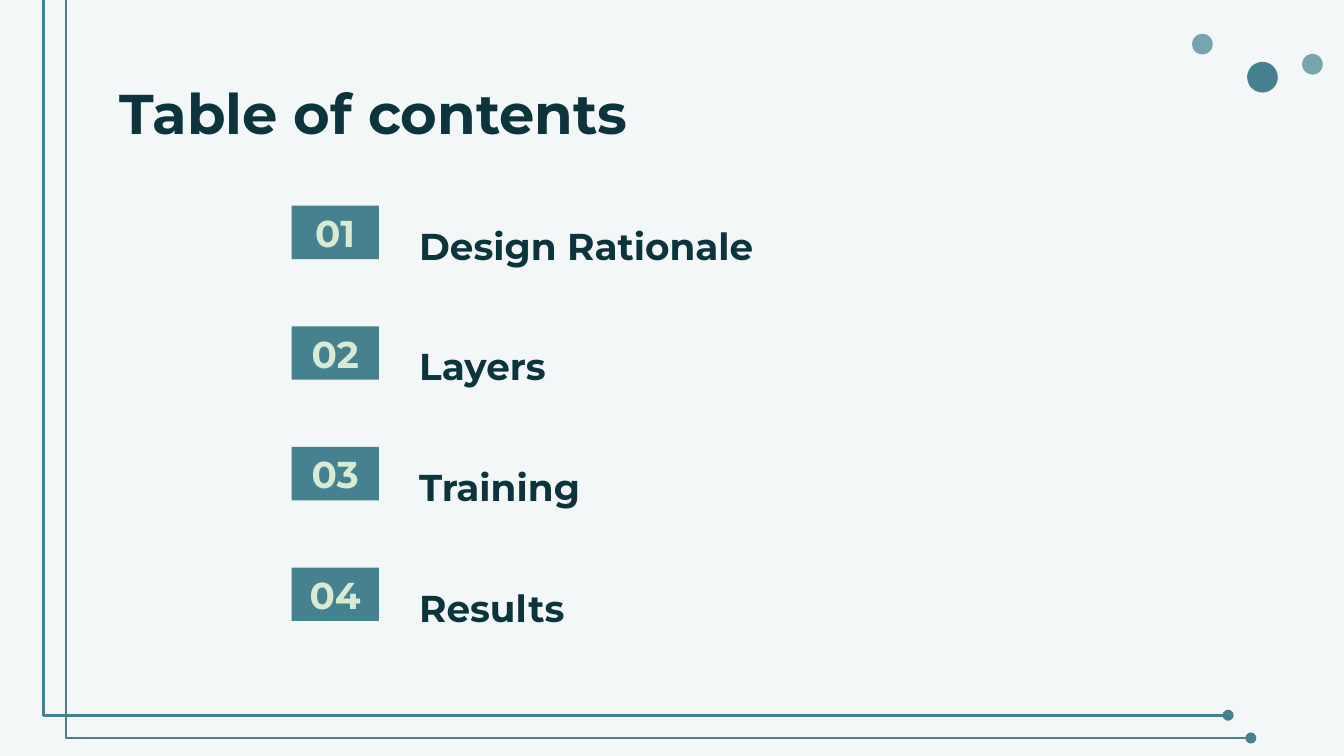
from lxml.etree import SubElement
from pptx import Presentation
from pptx.dml.color import RGBColor
from pptx.enum.shapes import MSO_CONNECTOR, MSO_SHAPE
from pptx.enum.text import MSO_ANCHOR, MSO_AUTO_SIZE, PP_ALIGN
from pptx.oxml.ns import qn
from pptx.util import Cm, Pt

COLORS = {
    "background": "F3F7F8",
    "teal": "45818E",
    "light_teal": "76A5AF",
    "dark": "0C343D",
    "pale": "D9EAD3",
}
TOPICS = ["Design Rationale", "Layers", "Training", "Results"]
DOTS = [
    (23.57, 1.17, 0.58, "teal"),
    (22.53, 0.64, 0.39, "light_teal"),
    (24.61, 1.02, 0.39, "light_teal"),
]
ROW_PITCH = 2.28


def rgb(name):
    return RGBColor.from_string(COLORS[name])


def set_attrs(obj, values):
    for name, value in values.items():
        setattr(obj, name, value)


def place(sp, left, top, width, height):
    box = {"left": left, "top": top, "width": width, "height": height}
    set_attrs(sp, {name: Cm(value) for name, value in box.items()})


def write(sp, text, size, color, anchor, **paragraph):
    tf = sp.text_frame
    margins = ("margin_left", "margin_top", "margin_right", "margin_bottom")
    set_attrs(tf, dict.fromkeys(margins, Cm(0.25)))
    set_attrs(tf, {"word_wrap": True, "auto_size": MSO_AUTO_SIZE.NONE,
                   "vertical_anchor": anchor})
    p = tf.paragraphs[0]
    pPr = p._p.get_or_add_pPr()
    set_attrs(p, {"alignment": PP_ALIGN.LEFT, "space_before": Pt(0), **paragraph})
    pPr.set("marL", "0")
    pPr.set("indent", "0")
    SubElement(pPr, qn("a:buNone"))
    r = p.add_run()
    r.text = text
    set_attrs(r.font, {"name": "Montserrat", "size": Pt(size), "bold": True})
    r.font.color.rgb = rgb(color)


def add_filled(s, shape_type, left, top, width, height, color):
    sp = s.shapes.add_shape(shape_type, Cm(left), Cm(top), Cm(width), Cm(height))
    sp.shadow.inherit = False
    sp.fill.solid()
    sp.fill.fore_color.rgb = rgb(color)
    sp.line.fill.background()
    return sp


def add_frame_line(s, left, top):
    line = s.shapes.add_connector(MSO_CONNECTOR.ELBOW, Cm(left), Cm(top),
                                  Cm(left + 22.17), Cm(top + 14.13))
    line.line.width = Pt(1.5)
    line.line.color.rgb = rgb("teal")
    spPr = line._element.spPr
    guides = spPr.prstGeom.get_or_add_avLst()
    SubElement(guides, qn("a:gd"), name="adj1", fmla="val -980")
    SubElement(spPr.find(qn("a:ln")), qn("a:tailEnd"), type="oval")
    SubElement(spPr, qn("a:effectLst"))


def add_title(s, text):
    sp = s.shapes.title
    place(sp, 2.01, 1.24, 21.41, 1.6)
    write(sp, text, 30, "dark", MSO_ANCHOR.TOP)


def add_topic(s, sp, number, text):
    offset = (number - 1) * ROW_PITCH
    badge = add_filled(s, MSO_SHAPE.RECTANGLE, 5.51, 3.89 + offset, 1.65, 1.01, "teal")
    write(badge, f"{number:02}", 20, "pale", MSO_ANCHOR.MIDDLE,
          alignment=PP_ALIGN.CENTER)
    place(sp, 7.67, 4.3 + offset, 11.79, 1.01)
    write(sp, text, 20, "dark", MSO_ANCHOR.BOTTOM, line_spacing=1.15)


def main():
    prs = Presentation()
    set_attrs(prs, {"slide_width": Cm(25.4), "slide_height": Cm(14.29)})
    s = prs.slides.add_slide(prs.slide_layouts.get_by_name("Comparison"))
    s.background.fill.solid()
    s.background.fill.fore_color.rgb = rgb("background")
    for left, top, size, color in DOTS:
        add_filled(s, MSO_SHAPE.OVAL, left, top, size, size, color)
    for left, top in [(1.04, -0.61), (1.47, -0.18)]:
        add_frame_line(s, left, top)
    add_title(s, "Table of contents")
    bodies = list(s.placeholders)[1:]
    for number, (sp, text) in enumerate(zip(bodies, TOPICS), 1):
        add_topic(s, sp, number, text)
    prs.save("out.pptx")


if __name__ == "__main__":
    main()
